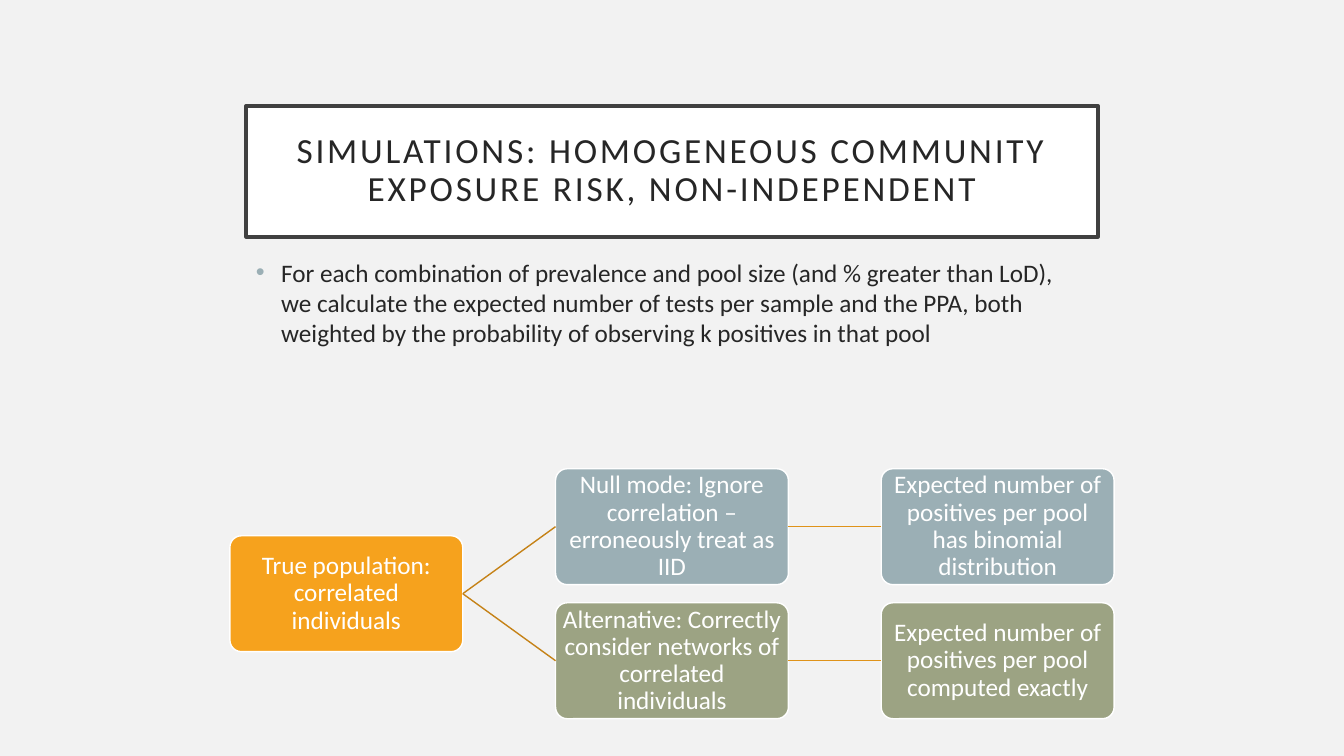
from lxml import etree
from pptx import Presentation
from pptx.dml.color import RGBColor
from pptx.enum import shapes, text
from pptx.oxml.ns import qn
from pptx.util import Inches, Pt


def rgb(value):
    return RGBColor.from_string(value)


def set_text(shape, content, size, color, margin, spacing):
    """Fill a shape with one centred paragraph in Calibri."""
    frame = shape.text_frame
    frame.word_wrap = True
    frame.vertical_anchor = text.MSO_ANCHOR.MIDDLE
    frame.margin_left = frame.margin_right = Inches(margin)
    frame.margin_top = frame.margin_bottom = Inches(margin)
    frame.text = content
    paragraph = frame.paragraphs[0]
    paragraph.alignment = text.PP_ALIGN.CENTER
    paragraph.line_spacing = spacing
    font = paragraph.runs[0].font
    font.name, font.size = "Calibri", Pt(size)
    font.color.rgb = rgb(color)


prs = Presentation()
prs.slide_width, prs.slide_height = Inches(13.33), Inches(7.5)
slide = prs.slides.add_slide(prs.slide_layouts[6])
slide.background.fill.solid()
slide.background.fill.fore_color.rgb = rgb("F2F2F2")

# Title
title = slide.shapes.add_shape(
    shapes.MSO_SHAPE.RECTANGLE, Inches(2.44), Inches(1.05), Inches(8.45), Inches(1.3))
title.shadow.inherit = False
title.fill.solid()
title.fill.fore_color.rgb = rgb("FFFFFF")
title.line.color.rgb = rgb("404040")
title.line.width = Pt(2.5)
set_text(title, "SIMULATIONS: HOMOGENEOUS COMMUNITY EXPOSURE RISK, NON-INDEPENDENT",
         25.2, "262626", 0.2, 0.9)
title.text_frame.paragraphs[0].runs[0].font._element.set("spc", "200")

# Method bullet
method = slide.shapes.add_textbox(Inches(2.44), Inches(2.5), Inches(8.45), Inches(3.39))
method.text_frame.word_wrap = True
method.text_frame.text = (
    "For each combination of prevalence and pool size (and % greater than LoD), "
    "we calculate the expected number of tests per sample and the PPA, both "
    "weighted by the probability of observing k positives in that pool")
bullet = method.text_frame.paragraphs[0]
properties = bullet._p.get_or_add_pPr()
properties.set("marL", str(Inches(0.25)))
properties.set("indent", str(-Inches(0.25)))
bullet_color = etree.SubElement(properties, qn("a:buClr"))
etree.SubElement(bullet_color, qn("a:srgbClr"), val="9BAFB5")
etree.SubElement(properties, qn("a:buFont"), typeface="Arial")
etree.SubElement(properties, qn("a:buChar"), char="•")
method_font = bullet.runs[0].font
method_font.name, method_font.size = "Calibri", Pt(18)
method_font.color.rgb = rgb("262626")

# Tree of models: column, row (the root sits halfway between the rows), fill, label
LEFT, TOP, COLUMN_STEP, ROW_STEP = 2.28, 4.65, 3.23, 1.33
nodes = {
    "population": (0, 0.5, "F6A21D", "True population: correlated individuals"),
    "null": (1, 0, "9BAFB5", "Null mode: Ignore correlation – erroneously treat as IID"),
    "binomial": (2, 0, "9BAFB5",
                 "Expected number of positives per pool has binomial distribution"),
    "alternative": (1, 1, "9CA383",
                    "Alternative: Correctly consider networks of correlated individuals"),
    "exact": (2, 1, "9CA383", "Expected number of positives per pool computed exactly"),
}
boxes = {}
for key, (column, row, fill, label) in nodes.items():
    box = slide.shapes.add_shape(
        shapes.MSO_SHAPE.ROUNDED_RECTANGLE,
        Inches(LEFT + column * COLUMN_STEP), Inches(TOP + row * ROW_STEP),
        Inches(2.31), Inches(1.15))
    box.adjustments[0] = 0.1
    box.shadow.inherit = False
    box.fill.solid()
    box.fill.fore_color.rgb = rgb(fill)
    box.line.color.rgb = rgb("FFFFFF")
    box.line.width = Pt(1)
    set_text(box, label, 18, "FFFFFF", 0.04, 0.9)
    boxes[key] = box

# Branches run from the right side of one box to the left side of the next
RIGHT_SIDE, LEFT_SIDE = 3, 1
for parent, child, color in [
    ("population", "null", "C58217"),
    ("population", "alternative", "C58217"),
    ("null", "binomial", "DF931A"),
    ("alternative", "exact", "DF931A"),
]:
    branch = slide.shapes.add_connector(shapes.MSO_CONNECTOR.STRAIGHT, 0, 0, 0, 0)
    branch.begin_connect(boxes[parent], RIGHT_SIDE)
    branch.end_connect(boxes[child], LEFT_SIDE)
    branch.line.color.rgb = rgb(color)
    branch.line.width = Pt(1)
    etree.SubElement(branch._element.spPr, qn("a:effectLst"))

prs.save("out.pptx")
